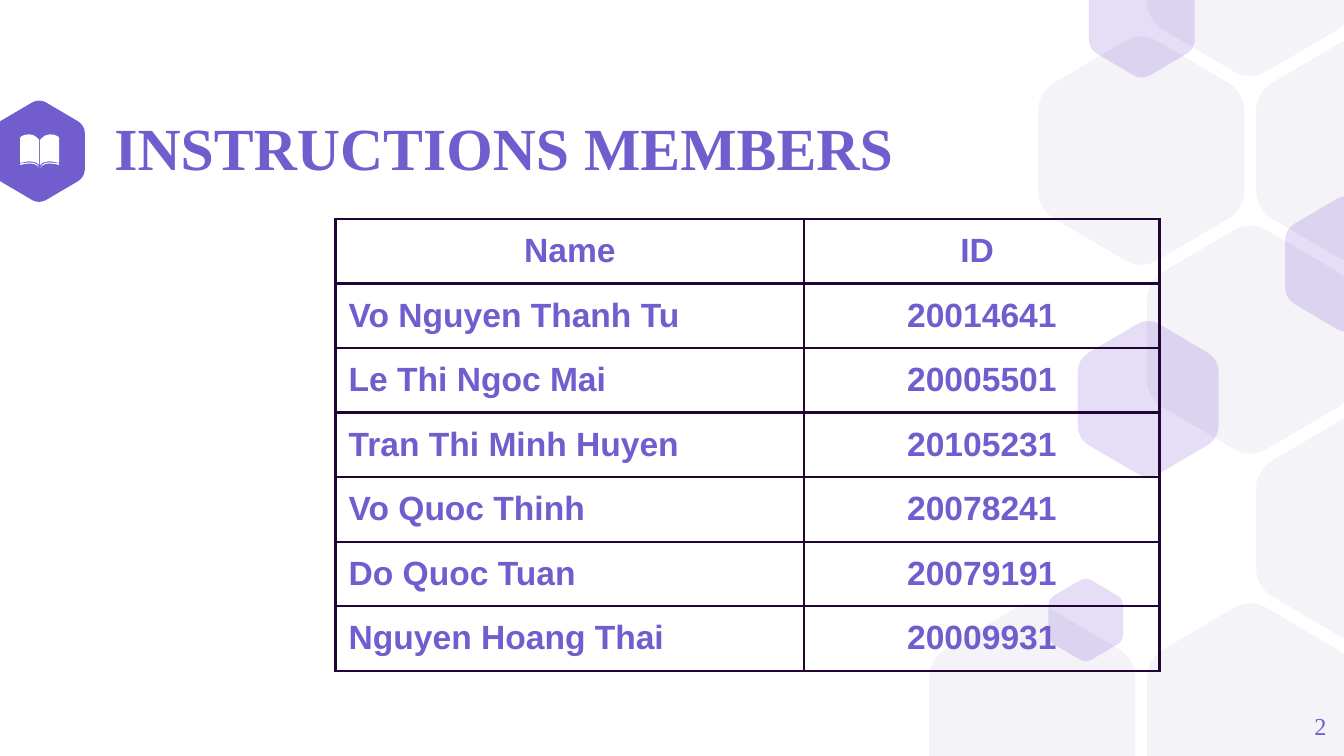
from dataclasses import dataclass

from lxml.etree import SubElement
from pptx import Presentation
from pptx.dml.color import RGBColor
from pptx.enum.text import MSO_ANCHOR, MSO_AUTO_SIZE, PP_ALIGN
from pptx.oxml.ns import qn
from pptx.util import Cm, Pt

PURPLE = RGBColor(0x72, 0x5D, 0xCF)
VIOLET = RGBColor(0x53, 0x22, 0xC9)
PALE = RGBColor(0xF4, 0xF3, 0xF8)
BORDER = RGBColor(0x21, 0x06, 0x35)
WHITE = RGBColor(0xFF, 0xFF, 0xFF)

SLIDE_W, SLIDE_H = 25.4, 14.29
GRID_X, GRID_Y = 19.51, -0.72
COL_STEP, ROW_STEP = 2.06, 3.57
ROW_H = 1.22

Point = tuple[float, float]


@dataclass(frozen=True)
class Hexagon:
    x: float
    y: float
    width: float
    color: RGBColor
    opacity: int = 100


@dataclass(frozen=True)
class Member:
    name: str
    id: str


GRID = [(0, 4), (2, 4), (3, 1), (2, 0), (2, 2), (1, 1), (3, 3)]
HEXAGONS = [Hexagon(0.74, 2.86, 1.73, PURPLE)]
HEXAGONS += [Hexagon(GRID_X + c * 2.06 if c < 2 else 21.57 + (c - 2) * COL_STEP,
                     GRID_Y + r * ROW_STEP, 3.9, PALE)
             for c, r in [(0, 4), (1, 4), (2, 1), (1, 0), (1, 2), (2, 3)]][:0]
HEXAGONS += [Hexagon(GRID_X + c * COL_STEP, GRID_Y + r * ROW_STEP, 3.9, PALE) for c, r in GRID]
HEXAGONS += [
    Hexagon(25.45, 4.99, 2.32, VIOLET, 15),
    Hexagon(20.52, 11.72, 1.41, VIOLET, 15),
    Hexagon(21.58, 0.36, 2, VIOLET, 15),
    Hexagon(21.7, 7.54, 2.66, VIOLET, 15),
]

BOOK_X = 0.75
PAGE = [(0.01, 3.12), (0.01, 2.64), (0.05, 2.6), (0.11, 2.56), (0.19, 2.54), (0.28, 2.55),
        (0.35, 2.58), (0.37, 2.61), (0.37, 3.06), (0.35, 3.08), (0.28, 3.06), (0.19, 3.05),
        (0.11, 3.06), (0.05, 3.08)]
PAGE_EDGE = [(0.01, 3.17), (0.05, 3.11), (0.11, 3.08), (0.19, 3.07), (0.28, 3.08),
             (0.37, 3.09), (0.37, 3.12), (0.28, 3.1), (0.19, 3.09), (0.11, 3.1), (0.05, 3.13)]

MEMBERS = [
    Member("Name", "ID "),
    Member("Vo Nguyen Thanh Tu", "20014641"),
    Member("Le Thi Ngoc Mai", "20005501"),
    Member("Tran Thi Minh Huyen", "20105231"),
    Member("Vo Quoc Thinh", "20078241"),
    Member("Do Quoc Tuan", "20079191"),
    Member("Nguyen Hoang Thai", "20009931"),
]

TITLE_FONT = {"name": "Times New Roman", "size": Pt(32), "bold": True}
NUMBER_FONT = {"name": "Times New Roman", "size": Pt(13), "bold": False}
CELL_FONT = {"name": "Arial", "size": Pt(18), "bold": True}
FRAME = {"margin_left": 0, "margin_right": 0, "margin_top": 0, "margin_bottom": 0,
         "word_wrap": True, "auto_size": MSO_AUTO_SIZE.NONE,
         "vertical_anchor": MSO_ANCHOR.MIDDLE}
CELL_FRAME = dict.fromkeys(("margin_left", "margin_right", "margin_top", "margin_bottom"), Cm(0.25))


def apply(target, values: dict) -> None:
    for key, value in values.items():
        setattr(target, key, value)


def write(p, text: str, font: dict, align: PP_ALIGN) -> None:
    p.alignment = align
    r = p.add_run()
    r.text = text
    apply(r.font, font)
    r.font.color.rgb = PURPLE


def bezier(a: Point, b: Point, c: Point, d: Point, steps: int = 8) -> list[Point]:
    return [tuple((1 - t) ** 3 * a[i] + 3 * (1 - t) ** 2 * t * b[i]
                  + 3 * (1 - t) * t ** 2 * c[i] + t ** 3 * d[i] for i in (0, 1))
            for t in (n / steps for n in range(steps + 1))]


def hexagon_points() -> list[Point]:
    side = bezier((0.5, 0.19), (0.5, 0.25), (0.47, 0.3), (0.42, 0.33))
    tip = bezier((0.08, 0.53), (0.03, 0.56), (-0.03, 0.56), (-0.08, 0.53))
    half = side + tip + [(-x, y) for x, y in reversed(side)]
    return half + [(-x, -y) for x, y in half]


def draw_outline(shapes, points: list[Point], color: RGBColor, opacity: int = 100) -> None:
    pts = [(Cm(x), Cm(y)) for x, y in points]
    fb = shapes.build_freeform(*pts[0])
    fb.add_line_segments(pts[1:])
    sp = fb.convert_to_shape()
    sp.shadow.inherit = False
    sp.line.fill.background()
    sp.fill.solid()
    sp.fill.fore_color.rgb = color
    if opacity < 100:
        clr = sp.fill._xPr.find(".//" + qn("a:srgbClr"))
        SubElement(clr, qn("a:alpha"), val=str(opacity * 1000))


def draw_hexagon(shapes, h: Hexagon) -> None:
    points = [(h.x + x * h.width, min(max(h.y + y * h.width, 0), SLIDE_H))
              for x, y in hexagon_points()]
    draw_outline(shapes, points, h.color, h.opacity)


def draw_borders(cell) -> None:
    tc_pr = cell._tc.get_or_add_tcPr()
    for side in ("lnL", "lnR", "lnT", "lnB"):
        ln = SubElement(tc_pr, qn(f"a:{side}"), w=str(Pt(1.5)))
        SubElement(SubElement(ln, qn("a:solidFill")), qn("a:srgbClr"), val=str(BORDER))


def draw_members(shapes, members: list[Member]) -> None:
    frame = shapes.add_table(len(members), 2, Cm(6.34), Cm(4.14), Cm(15.57),
                             Cm(ROW_H * len(members)))
    table = frame.table
    table.first_row = table.horz_banding = False
    for column, width in zip(table.columns, (8.86, 6.71)):
        column.width = Cm(width)
    for i, member in enumerate(members):
        table.rows[i].height = Cm(ROW_H)
        for j, text in enumerate((member.name, member.id)):
            cell = table.cell(i, j)
            apply(cell, CELL_FRAME)
            draw_borders(cell)
            cell.fill.background()
            align = PP_ALIGN.LEFT if i and not j else PP_ALIGN.CENTER
            write(cell.text_frame.paragraphs[0], text, CELL_FONT, align)


def main() -> None:
    prs = Presentation()
    prs.slide_width, prs.slide_height = Cm(SLIDE_W), Cm(SLIDE_H)
    s = prs.slides.add_slide(prs.slide_layouts[5])

    for h in HEXAGONS:
        draw_hexagon(s.shapes, h)

    title = s.shapes.title
    apply(title, {"left": Cm(2.16), "top": Cm(2.31), "width": Cm(16.69), "height": Cm(1.09)})
    apply(title.text_frame, FRAME)
    p = title.text_frame.paragraphs[0]
    p.line_spacing = 0.9
    write(p, "INSTRUCTIONS MEMBERS", TITLE_FONT, PP_ALIGN.LEFT)

    number = s.shapes.add_textbox(Cm(23.55), Cm(13.18), Cm(1.52), Cm(1.09))
    apply(number.text_frame, FRAME)
    write(number.text_frame.paragraphs[0], "2", NUMBER_FONT, PP_ALIGN.RIGHT)

    for outline in (PAGE_EDGE, PAGE):
        for side in (-1, 1):
            draw_outline(s.shapes, [(BOOK_X + side * x, y) for x, y in outline], WHITE)

    draw_members(s.shapes, MEMBERS)
    prs.save("out.pptx")


if __name__ == "__main__":
    main()
